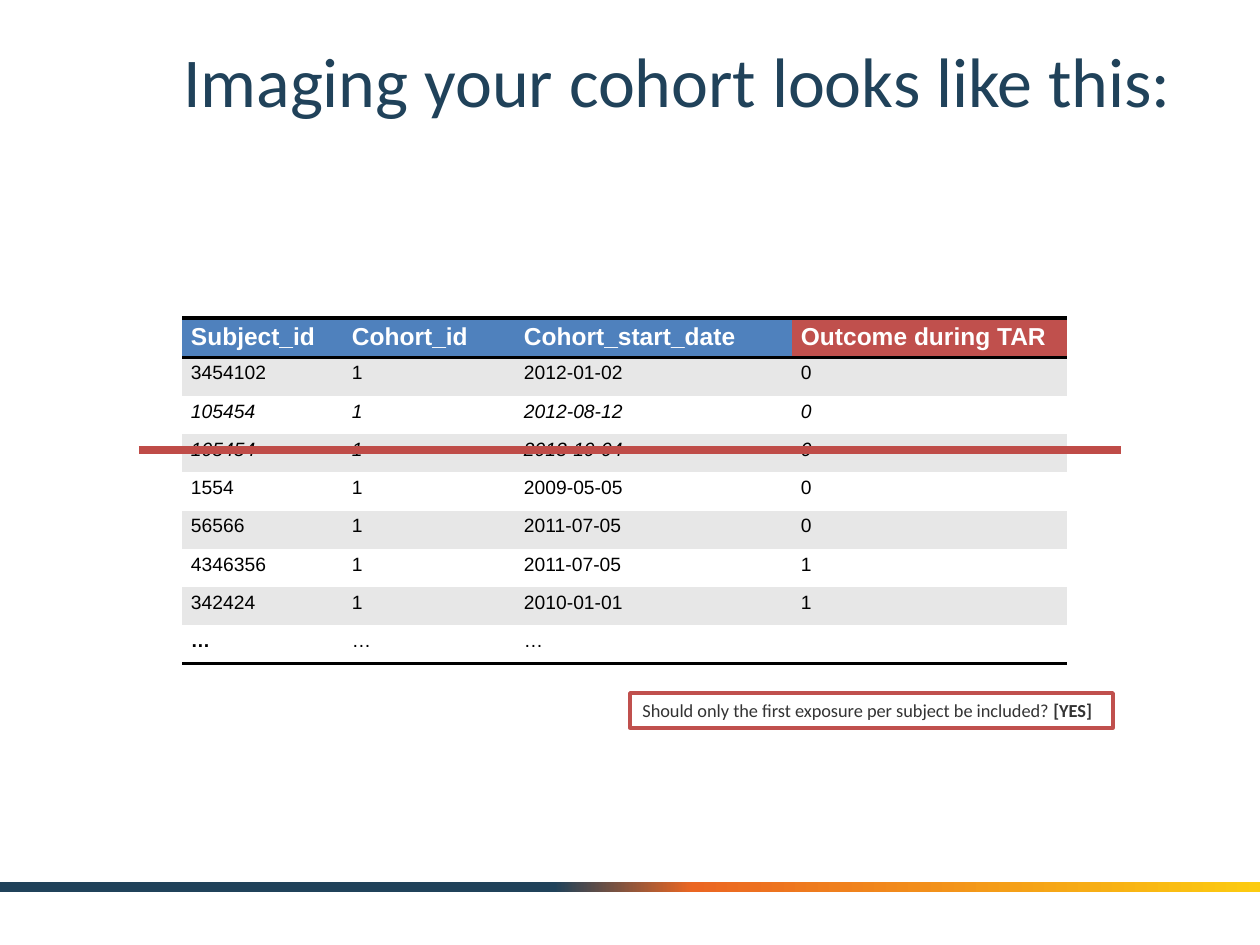
from dataclasses import dataclass

from lxml.etree import SubElement
from pptx import Presentation
from pptx.dml.color import RGBColor
from pptx.enum.shapes import MSO_CONNECTOR, MSO_SHAPE
from pptx.enum.text import MSO_ANCHOR, PP_ALIGN
from pptx.oxml import parse_xml
from pptx.oxml.ns import nsdecls, qn
from pptx.util import Emu, Pt

NO_GRID_STYLE = "{2D5ABB26-0587-4C30-8999-92F81FD0307C}"

HEADERS = ["Subject_id", "Cohort_id", "Cohort_start_date", "Outcome during TAR"]
ROWS = [
    ["3454102", "1", "2012-01-02", "0"],
    ["105454", "1", "2012-08-12", "0"],
    ["105454", "1", "2013-10-04", "0"],
    ["1554", "1", "2009-05-05", "0"],
    ["56566", "1", "2011-07-05", "0"],
    ["4346356", "1", "2011-07-05", "1"],
    ["342424", "1", "2010-01-01", "1"],
    ["…", "…", "…", ""],
]
COLUMN_WIDTHS = [161, 172, 277, 275]
REPEATED_SUBJECT = "105454"


@dataclass(frozen=True)
class Theme:
    heading_font: str = "Calibri"
    table_font: str = "Arial"
    title_size: float = 40
    header_size: float = 14
    body_size: float = 11
    callout_size: float = 10.5
    navy: str = "20425A"
    orange: str = "EB6622"
    yellow: str = "FCCB10"
    blue: str = "4F81BD"
    red: str = "C0504D"
    strike: str = "BF4C48"
    band: str = "E7E7E7"
    white: str = "FFFFFF"
    black: str = "000000"
    text: str = "333333"


THEME = Theme()


def px(n):
    return Emu(n * 914400 // 126)


def rgb(value):
    return RGBColor.from_string(value)


def format_run(r, font, size, color, bold=False, italic=False):
    r.font.name = font
    r.font.size = Pt(size)
    r.font.color.rgb = rgb(color)
    r.font.bold = bold
    r.font.italic = italic


def add_gradient_bar(s, x, y, w, h, stops):
    sp = s.shapes.add_shape(MSO_SHAPE.RECTANGLE, px(x), px(y), px(w), px(h))
    sp.shadow.inherit = False
    sp.line.fill.background()
    sp.fill.gradient()
    sp.fill.gradient_angle = 0
    gs_lst = sp._element.spPr.find(qn("a:gradFill")).find(qn("a:gsLst"))
    for gs in list(gs_lst):
        gs_lst.remove(gs)
    for percent, color in stops:
        gs = SubElement(gs_lst, qn("a:gs"), pos=str(percent * 1000))
        SubElement(gs, qn("a:srgbClr"), val=color)


def add_title(s, text, x, y, w, h):
    tf = s.shapes.add_textbox(px(x), px(y), px(w), px(h)).text_frame
    tf.word_wrap = True
    tf.vertical_anchor = MSO_ANCHOR.MIDDLE
    tf.text = text
    p = tf.paragraphs[0]
    p.alignment = PP_ALIGN.CENTER
    format_run(p.runs[0], THEME.heading_font, THEME.title_size, THEME.navy)


def add_borders(cell, *sides):
    tcPr = cell._tc.get_or_add_tcPr()
    for index, side in enumerate(sides):
        tcPr.insert(index, parse_xml(
            f'<a:{side} {nsdecls("a")} w="{Pt(2)}"><a:solidFill>'
            f'<a:srgbClr val="{THEME.black}"/></a:solidFill></a:{side}>'))


def fill_cell(cell, text, fill, size, color, bold=False, italic=False):
    cell.margin_left = cell.margin_right = px(9)
    cell.margin_top = cell.margin_bottom = px(5)
    cell.fill.solid()
    cell.fill.fore_color.rgb = rgb(fill)
    cell.text = text
    p = cell.text_frame.paragraphs[0]
    for r in p.runs:
        format_run(r, THEME.table_font, size, color, bold, italic)
    if not text:
        p._p.get_or_add_endParaRPr().set("sz", str(size * 100))


def add_cohort_table(s, x, y, h):
    count = len(ROWS) + 1
    table = s.shapes.add_table(count, len(HEADERS), px(x), px(y),
                               px(sum(COLUMN_WIDTHS)), px(h)).table
    table._tbl.tblPr.find(qn("a:tableStyleId")).text = NO_GRID_STYLE
    for column, width in zip(table.columns, COLUMN_WIDTHS):
        column.width = px(width)
    for row in table.rows:
        row.height = px(h) // count
    for j, header in enumerate(HEADERS):
        cell = table.cell(0, j)
        fill = THEME.red if j == len(HEADERS) - 1 else THEME.blue
        fill_cell(cell, header, fill, THEME.header_size, THEME.white, bold=True)
        add_borders(cell, "lnT", "lnB")
    for i, values in enumerate(ROWS, 1):
        fill = THEME.band if i % 2 else THEME.white
        for j, value in enumerate(values):
            cell = table.cell(i, j)
            fill_cell(cell, value, fill, THEME.body_size, THEME.black,
                      bold=i == len(ROWS) and j == 0,
                      italic=values[0] == REPEATED_SUBJECT)
            if i == len(ROWS):
                add_borders(cell, "lnB")


def add_callout(s, question, answer, x, y, w, h):
    sp = s.shapes.add_shape(MSO_SHAPE.RECTANGLE, px(x), px(y), px(w), px(h))
    sp.shadow.inherit = False
    sp.fill.solid()
    sp.fill.fore_color.rgb = rgb(THEME.white)
    sp.line.color.rgb = rgb(THEME.red)
    sp.line.width = Pt(2)
    tf = sp.text_frame
    tf.word_wrap = True
    tf.vertical_anchor = MSO_ANCHOR.TOP
    p = tf.paragraphs[0]
    p.alignment = PP_ALIGN.LEFT
    for text, bold in ((question, False), (answer, True)):
        r = p.add_run()
        r.text = text
        format_run(r, THEME.heading_font, THEME.callout_size, THEME.text, bold)


def add_strike(s, x1, x2, y):
    line = s.shapes.add_connector(MSO_CONNECTOR.STRAIGHT,
                                  px(x1), px(y), px(x2), px(y))
    line.line.color.rgb = rgb(THEME.strike)
    line.line.width = Pt(4.5)
    SubElement(line._element.spPr, qn("a:effectLst"))


def main():
    prs = Presentation()
    prs.slide_width, prs.slide_height = px(1260), px(945)
    s = prs.slides.add_slide(prs.slide_layouts[6])
    add_gradient_bar(s, 0, 882, 1260, 10, [
        (0, THEME.navy), (44, THEME.navy), (55, THEME.orange), (100, THEME.yellow)])
    add_title(s, "Imaging your cohort looks like this:", 157, 22, 1040, 116)
    add_cohort_table(s, 182, 318, 345)
    add_callout(s, "Should only the first exposure per subject be included? ",
                "[YES]", 630, 693, 483, 35)
    add_strike(s, 139, 1121, 450)
    prs.save("out.pptx")


if __name__ == "__main__":
    main()
